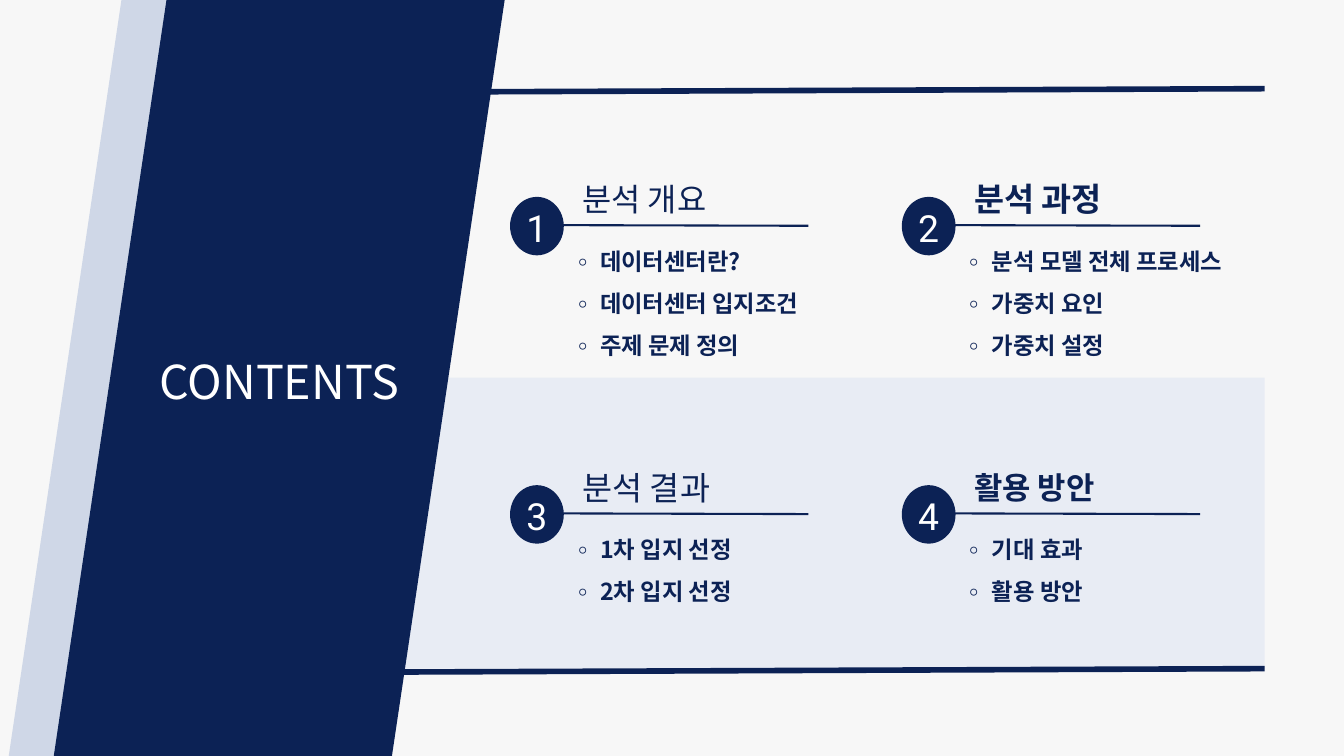
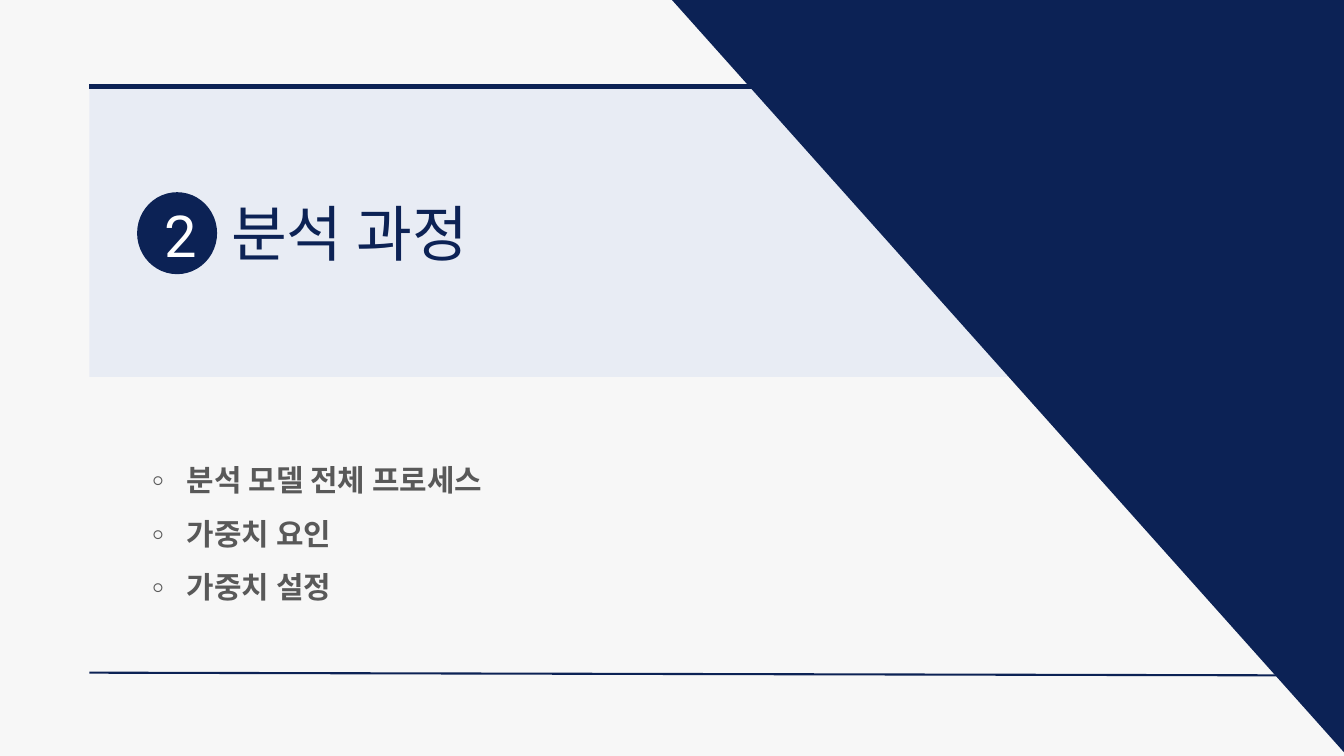
import dataclasses

import pptx
import pptx.dml.color
import pptx.enum.shapes
import pptx.enum.text
import pptx.oxml.ns
import pptx.util
from lxml import etree

Inches = pptx.util.Inches
Pt = pptx.util.Pt
RGBColor = pptx.dml.color.RGBColor
SHAPE = pptx.enum.shapes.MSO_SHAPE
ALIGN = pptx.enum.text.PP_ALIGN
qn = pptx.oxml.ns.qn

# Shared look
NAVY = RGBColor(0x0C, 0x22, 0x55)
MIST = RGBColor(0xCF, 0xD7, 0xE7)
PALE = RGBColor(0xE8, 0xEC, 0xF4)
PAPER = RGBColor(0xF7, 0xF7, 0xF7)
GREY = RGBColor(0x59, 0x59, 0x59)
WHITE = RGBColor(0xFF, 0xFF, 0xFF)
HEAD_FONT = "Noto Sans CJK KR"
NUMBER_FONT = "Roboto"
SLIDE_W, SLIDE_H = 20, 11.25
PANEL_SIZE = (16.86, 4.33)
THICK, THIN = 6, 2.25


@dataclasses.dataclass
class Topic:
    title: str
    title_size: int
    bold: bool
    title_width: float
    list_width: float
    points: list


TOPICS = [
    Topic("분석 개요", 34, False, 2.23, 4.08,
          ["데이터센터란?", "데이터센터 입지조건", "주제 문제 정의"]),
    Topic("분석 과정", 35, True, 3.32, 4.45,
          ["분석 모델 전체 프로세스", "가중치 요인", "가중치 설정"]),
    Topic("분석 결과", 35, False, 3.19, 3.19,
          ["1차 입지 선정", "2차 입지 선정"]),
    Topic("활용 방안", 33, True, 2.11, 3.63,
          ["기대 효과", "활용 방안"]),
]


def add_block(slide, kind, box, color):
    block = slide.shapes.add_shape(kind, *map(Inches, box))
    block.shadow.inherit = False
    block.fill.solid()
    block.fill.fore_color.rgb = color
    block.line.fill.background()
    return block


def add_rule(slide, start, end, weight):
    rule = slide.shapes.add_connector(
        pptx.enum.shapes.MSO_CONNECTOR.STRAIGHT,
        *map(Inches, (*start, *end)))
    rule.line.color.rgb = NAVY
    rule.line.width = Pt(weight)
    etree.SubElement(rule.element.spPr, qn("a:effectLst"))


def write(holder, box, text, size, color, font=HEAD_FONT, bold=False,
          align=ALIGN.LEFT):
    """Place a text holder in its box and format everything in it."""
    holder.left, holder.top, holder.width, holder.height = map(Inches, box)
    frame = holder.text_frame
    frame.text = text
    frame.word_wrap = True
    frame.auto_size = pptx.enum.text.MSO_AUTO_SIZE.SHAPE_TO_FIT_TEXT
    frame.vertical_anchor = pptx.enum.text.MSO_ANCHOR.MIDDLE
    for paragraph in frame.paragraphs:
        paragraph.alignment = align
        for run in paragraph.runs:
            run.font.size = Pt(size)
            run.font.bold = bold
            run.font.color.rgb = color
            run.font.name = font
            east_asian = etree.SubElement(run.font._element, qn("a:ea"))
            east_asian.set("typeface", font)


def add_text(slide, box, *args, **style):
    write(slide.shapes.add_textbox(*map(Inches, box)), box, *args, **style)


def fill_placeholder(slide, index, *args, **style):
    """Fill a placeholder and bring it in front of the shapes so far."""
    holder = slide.placeholders[index]
    slide.shapes.element.append(holder.element)
    write(holder, *args, **style)
    return holder


def fill_list(slide, index, box, points, size, color, indent):
    holder = fill_placeholder(slide, index, box, "\n".join(points), size,
                              color, bold=True)
    for paragraph in holder.text_frame.paragraphs:
        props = paragraph._p.get_or_add_pPr()
        props.set("marL", str(Inches(indent)))
        props.set("indent", str(-Inches(indent)))
        etree.SubElement(props, qn("a:buFont")).set("typeface", HEAD_FONT)
        etree.SubElement(props, qn("a:buChar")).set("char", "◦")
        paragraph.line_spacing = 1.5
        paragraph.space_before = Pt(0)


def add_badge(slide, box, number, number_height, size):
    left, top, width, height = box
    add_block(slide, SHAPE.OVAL, box, NAVY)
    number_width = 0.58
    number_box = (left + (width - number_width) / 2,
                  top + (height - number_height) / 2 + 0.02,
                  number_width, number_height)
    add_text(slide, number_box, str(number), size, WHITE,
             font=NUMBER_FONT, align=ALIGN.CENTER)


def add_topic(slide, left, top, number, topic):
    """One numbered topic, placed from the corner of its badge."""
    add_text(slide, (left + 0.98, top - 0.31, topic.title_width, 0.68),
             topic.title, topic.title_size, NAVY, bold=topic.bold)
    list_height = 0.63 * len(topic.points) - 0.11
    fill_list(slide, number,
              (left + 0.81, top + 0.59, topic.list_width, list_height),
              topic.points, 25, NAVY, 0.43)
    add_badge(slide, (left, top, 0.8, 0.87), number, 0.77, 40)
    add_rule(slide, (left + 0.7, top + 0.42), (left + 4.44, top + 0.43), THIN)


def build_contents(prs):
    # The comparison layout offers a title and four text areas
    slide = prs.slides.add_slide(prs.slide_layouts[4])

    # Slanted title band, pale panel and rules
    add_block(slide, SHAPE.PARALLELOGRAM, (0.13, 0, 6.71, SLIDE_H), MIST)
    add_block(slide, SHAPE.RECTANGLE, (1.96, 5.62, *PANEL_SIZE), PALE)
    add_block(slide, SHAPE.PARALLELOGRAM, (0.8, 0, 6.71, SLIDE_H), NAVY)
    for rule_top in (1.32, 9.95):
        add_rule(slide, (18.82, rule_top), (3.5, rule_top + 0.06), THICK)
    fill_placeholder(slide, 0, (1.62, 5.2, 5.07, 0.94), "CONTENTS", 50,
                     WHITE, align=ALIGN.CENTER)

    # Two by two grid of topics
    for position, topic in enumerate(TOPICS):
        row, column = divmod(position, 2)
        add_topic(slide, 7.59 + 5.83 * column, 2.93 + 4.29 * row,
                  position + 1, topic)


def build_section(prs, number):
    slide = prs.slides.add_slide(prs.slide_layouts[1])
    topic = TOPICS[number - 1]

    # Topic points
    fill_list(slide, 1, (2.04, 6.67, 5.94, 2.26), topic.points, 32, GREY, 0.64)

    # Heading panel
    add_block(slide, SHAPE.RECTANGLE, (1.33, 1.28, *PANEL_SIZE), PALE)
    fill_placeholder(slide, 0, (3.34, 2.85, 3.95, 1.2), topic.title, 65, NAVY)
    add_badge(slide, (2.04, 2.86, 1.19, 1.22), number, 1.14, 62)

    # Corner triangle and rules
    corner = add_block(slide, SHAPE.RIGHT_TRIANGLE,
                       (10, 0, 10.05, SLIDE_H), NAVY)
    corner.rotation = 180
    add_rule(slide, (1.33, 1.29), (11.6, 1.29), THICK)
    add_rule(slide, (1.33, 10.01), (19.14, 10.05), THIN)


def main():
    prs = pptx.Presentation()
    prs.slide_width, prs.slide_height = Inches(SLIDE_W), Inches(SLIDE_H)
    backdrop = prs.slide_master.background.fill
    backdrop.solid()
    backdrop.fore_color.rgb = PAPER
    build_contents(prs)
    build_section(prs, 2)
    prs.save("out.pptx")


if __name__ == "__main__":
    main()
